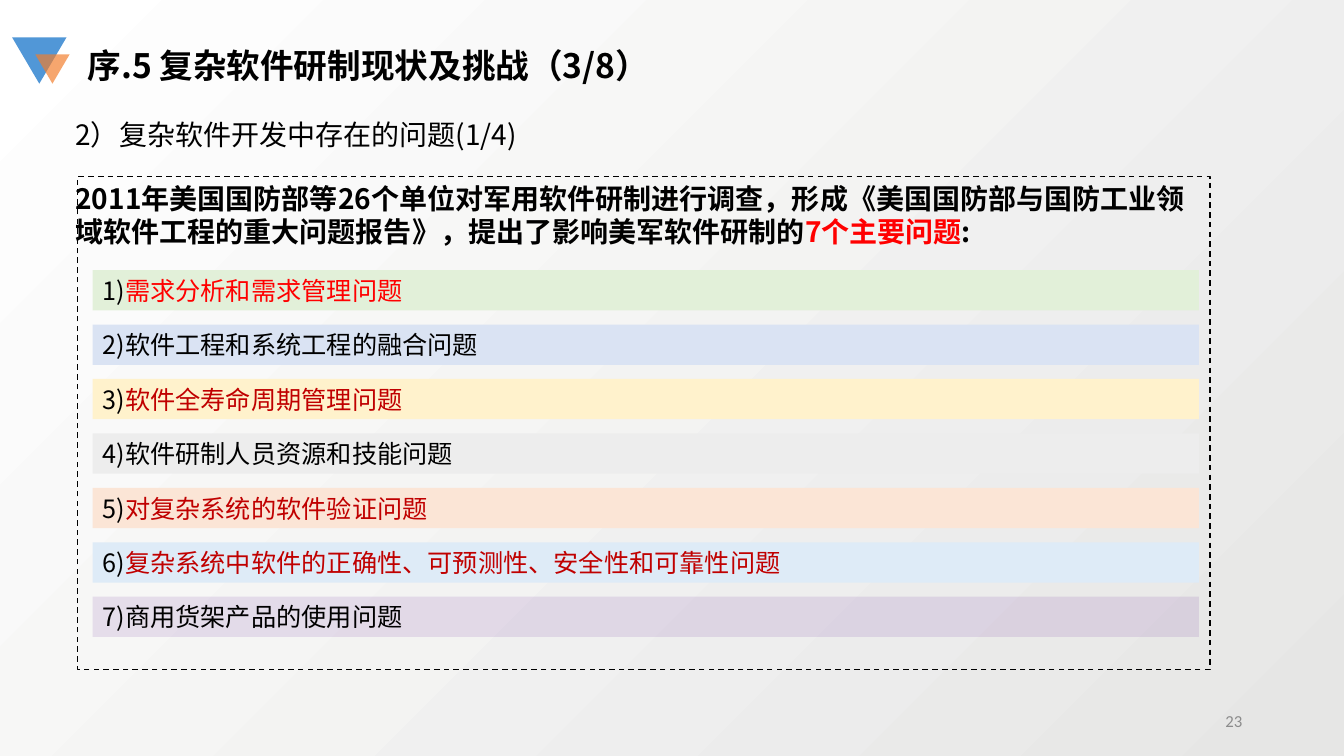
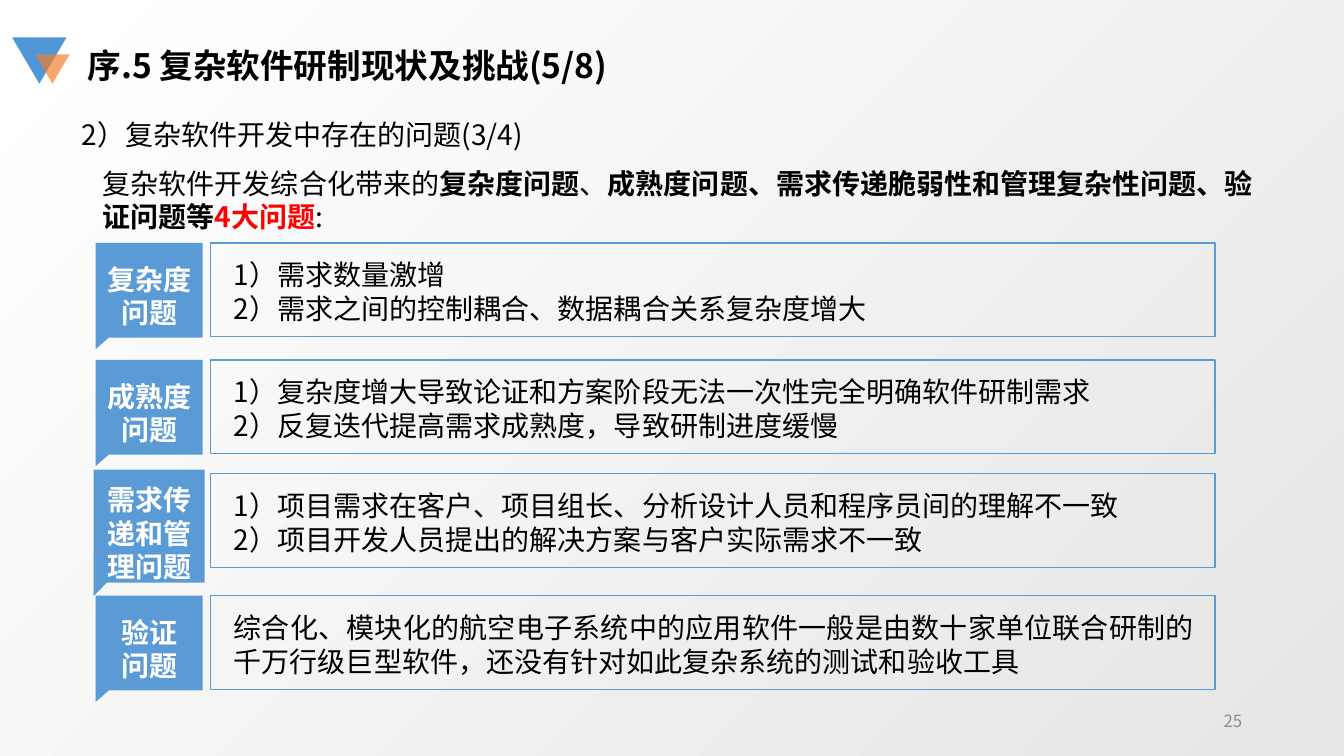
from lxml import etree
from pptx import Presentation
from pptx.dml.color import RGBColor
from pptx.enum.dml import MSO_LINE
from pptx.enum.shapes import MSO_SHAPE
from pptx.enum.text import MSO_ANCHOR, PP_ALIGN
from pptx.oxml.ns import qn
from pptx.util import Inches, Pt

FONT = "Noto Sans CJK SC"
BLACK = RGBColor(0x00, 0x00, 0x00)
WHITE = RGBColor(0xFF, 0xFF, 0xFF)
RED = RGBColor(0xFF, 0x00, 0x00)
DARK_RED = RGBColor(0xC0, 0x00, 0x00)
GREY = RGBColor(0x8C, 0x8C, 0x8C)
PALE_GREY = RGBColor(0xE6, 0xE6, 0xE5)
LOGO_BLUE = RGBColor(0x51, 0x97, 0xD7)
LOGO_ORANGE = RGBColor(0xF3, 0x7D, 0x2A)
BLUE = RGBColor(0x5B, 0x9B, 0xD5)
PURPLE = RGBColor(0x70, 0x30, 0xA0)

# A run is (text, colour, bold).
SURVEY = [
    ("2011年美国国防部等26个单位对军用软件研制进行调查，形成《美国国防部与国防工业"
     "领域软件工程的重大问题报告》，提出了影响美军软件研制的", BLACK, True),
    ("7个主要问题", RED, True),
    (":", BLACK, True),
]
# Issue text, text colour, bar colour, bar opacity in percent
ISSUES = [
    ("需求分析和需求管理问题", RED, RGBColor(0xE2, 0xF0, 0xD9), 100),
    ("软件工程和系统工程的融合问题", BLACK, RGBColor(0xDA, 0xE3, 0xF3), 100),
    ("软件全寿命周期管理问题", DARK_RED, RGBColor(0xFF, 0xF2, 0xCC), 100),
    ("软件研制人员资源和技能问题", BLACK, RGBColor(0xED, 0xED, 0xED), 100),
    ("对复杂系统的软件验证问题", DARK_RED, RGBColor(0xFB, 0xE5, 0xD6), 100),
    ("复杂系统中软件的正确性、可预测性、安全性和可靠性问题", DARK_RED,
     RGBColor(0xDE, 0xEB, 0xF7), 100),
    ("商用货架产品的使用问题", BLACK, PURPLE, 13),
]
BAR_TOP, BAR_STEP = 2.68, 0.54

SUMMARY = [
    ("复杂软件开发综合化带来的", BLACK, False),
    ("复杂度问题", BLACK, True),
    ("、", BLACK, False),
    ("成熟度问题、需求传递脆弱性和管理复杂性问题、验证问题等", BLACK, True),
    ("4大问题", RED, True),
    (":", BLACK, False),
]
TAG = (0.95, 1.06, 0.94)        # left, width, height above the tail
WIDE_TAG = (0.93, 1.1, 1.12)
# Row top, tag top, tag size, tag lines, detail lines
PROBLEMS = [
    (2.41, 2.41, TAG, ["复杂度问题"],
     ["1）需求数量激增", "2）需求之间的控制耦合、数据耦合关系复杂度增大"]),
    (3.57, 3.57, TAG, ["成熟度问题"],
     ["1）复杂度增大导致论证和方案阶段无法一次性完全明确软件研制需求",
      "2）反复迭代提高需求成熟度，导致研制进度缓慢"]),
    (4.7, 4.66, WIDE_TAG, ["需求传递和管理问题"],
     ["1）项目需求在客户、项目组长、分析设计人员和程序员间的理解不一致",
      "2）项目开发人员提出的解决方案与客户实际需求不一致"]),
    (5.91, 5.91, TAG, ["验证", "问题"],
     ["综合化、模块化的航空电子系统中的应用软件一般是由数十家单位联合研制的"
      "千万行级巨型软件，还没有针对如此复杂系统的测试和验收工具"]),
]


def write(sp, paragraphs, size, align=PP_ALIGN.LEFT, anchor=MSO_ANCHOR.TOP, font=FONT):
    """Fill a shape with paragraphs, each a list of (text, colour, bold) runs."""
    tf = sp.text_frame
    tf.word_wrap = True
    tf.vertical_anchor = anchor
    for i, runs in enumerate(paragraphs):
        p = tf.paragraphs[0] if i == 0 else tf.add_paragraph()
        p.alignment = align
        for text, colour, bold in runs:
            r = p.add_run()
            r.text = text
            r.font.size = Pt(size)
            r.font.bold = bold
            r.font.color.rgb = colour
            r.font.name = font
            ea = etree.SubElement(r.font._element, qn("a:ea"))
            ea.set("typeface", font)


def add_text(slide, box, paragraphs, size, **style):
    sp = slide.shapes.add_textbox(*map(Inches, box))
    write(sp, paragraphs, size, **style)


def paint(sp, colour, opacity=100):
    sp.shadow.inherit = False
    sp.line.fill.background()
    sp.fill.solid()
    sp.fill.fore_color.rgb = colour
    if opacity < 100:
        rgb = sp.fill._xPr.find(qn("a:solidFill"))[0]
        etree.SubElement(rgb, qn("a:alpha")).set("val", str(opacity * 1000))


def add_block(slide, kind, box, colour, opacity=100):
    sp = slide.shapes.add_shape(kind, *map(Inches, box))
    paint(sp, colour, opacity)
    return sp


def add_frame(slide, box, colour, dash=None):
    sp = slide.shapes.add_shape(MSO_SHAPE.RECTANGLE, *map(Inches, box))
    sp.shadow.inherit = False
    sp.fill.background()
    sp.line.color.rgb = colour
    sp.line.width = Pt(1)
    sp.line.dash_style = dash


def add_tag(slide, top, size, lines):
    """Draw a label with a small tail below its left corner."""
    left, width, height = size
    tail = 0.12 * height
    right, bottom = left + width, top + height
    corners = [(right, top), (right, bottom), (left + 0.13, bottom), (left, bottom + tail)]
    outline = slide.shapes.build_freeform(Inches(left), Inches(top))
    outline.add_line_segments([(Inches(x), Inches(y)) for x, y in corners], close=True)
    sp = outline.convert_to_shape()
    paint(sp, BLUE)
    write(sp, [[(line, WHITE, True)] for line in lines], 20,
          align=PP_ALIGN.CENTER, anchor=MSO_ANCHOR.MIDDLE)


def new_slide(prs, title, subtitle, subtitle_left, number, number_font):
    slide = prs.slides.add_slide(prs.slide_layouts[6])
    fill = slide.background.fill
    fill.gradient()
    fill.gradient_angle = 135
    for stop, colour in zip(fill.gradient_stops, (PALE_GREY, WHITE)):
        stop.color.rgb = colour
    add_text(slide, (9.42, 6.95, 3, 0.4), [[(number, GREY, False)]], 12,
             align=PP_ALIGN.RIGHT, anchor=MSO_ANCHOR.MIDDLE, font=number_font)
    for box, colour, opacity in [((0.12, 0.37, 0.54, 0.46), LOGO_BLUE, 100),
                                 ((0.35, 0.54, 0.34, 0.29), LOGO_ORANGE, 68)]:
        sp = add_block(slide, MSO_SHAPE.ISOSCELES_TRIANGLE, box, colour, opacity)
        sp.rotation = 180
    add_text(slide, (0.77, 0.4, 6.73, 0.5), [[(title, BLACK, True)]], 24)
    add_text(slide, (subtitle_left, 1.12, 6.67, 0.44), [[(subtitle, BLACK, False)]], 20)
    return slide


def build_issues(prs):
    slide = new_slide(prs, "序.5 复杂软件研制现状及挑战（3/8）",
                      "2）复杂软件开发中存在的问题(1/4)", 0.65, "23", "Calibri")
    add_frame(slide, (0.77, 1.75, 11.23, 4.89), BLACK, MSO_LINE.DASH)
    add_text(slide, (0.65, 1.75, 11.23, 0.77), [SURVEY], 20)
    for i, (text, colour, bar_colour, opacity) in enumerate(ISSUES):
        bar = add_block(slide, MSO_SHAPE.RECTANGLE,
                        (0.92, BAR_TOP + i * BAR_STEP, 10.97, 0.4), bar_colour, opacity)
        write(bar, [[(f"{i + 1})", BLACK, False), (text, colour, False)]], 18)


def build_problems(prs):
    slide = new_slide(prs, "序.5 复杂软件研制现状及挑战(5/8)",
                      "2）复杂软件开发中存在的问题(3/4)", 0.71, "25", FONT)
    add_text(slide, (0.92, 1.6, 11.65, 0.77), [SUMMARY], 20)
    for top, tag_top, tag_size, tag_lines, details in PROBLEMS:
        add_frame(slide, (2.09, top, 9.96, 0.93), BLUE)
        add_text(slide, (2.22, top + 0.1, 9.72, 0.77),
                 [[(line, BLACK, False)] for line in details], 20, align=PP_ALIGN.JUSTIFY)
        add_tag(slide, tag_top, tag_size, tag_lines)


def main():
    prs = Presentation()
    prs.slide_width, prs.slide_height = Inches(13.33), Inches(7.5)
    build_issues(prs)
    build_problems(prs)
    prs.save("out.pptx")


if __name__ == "__main__":
    main()
